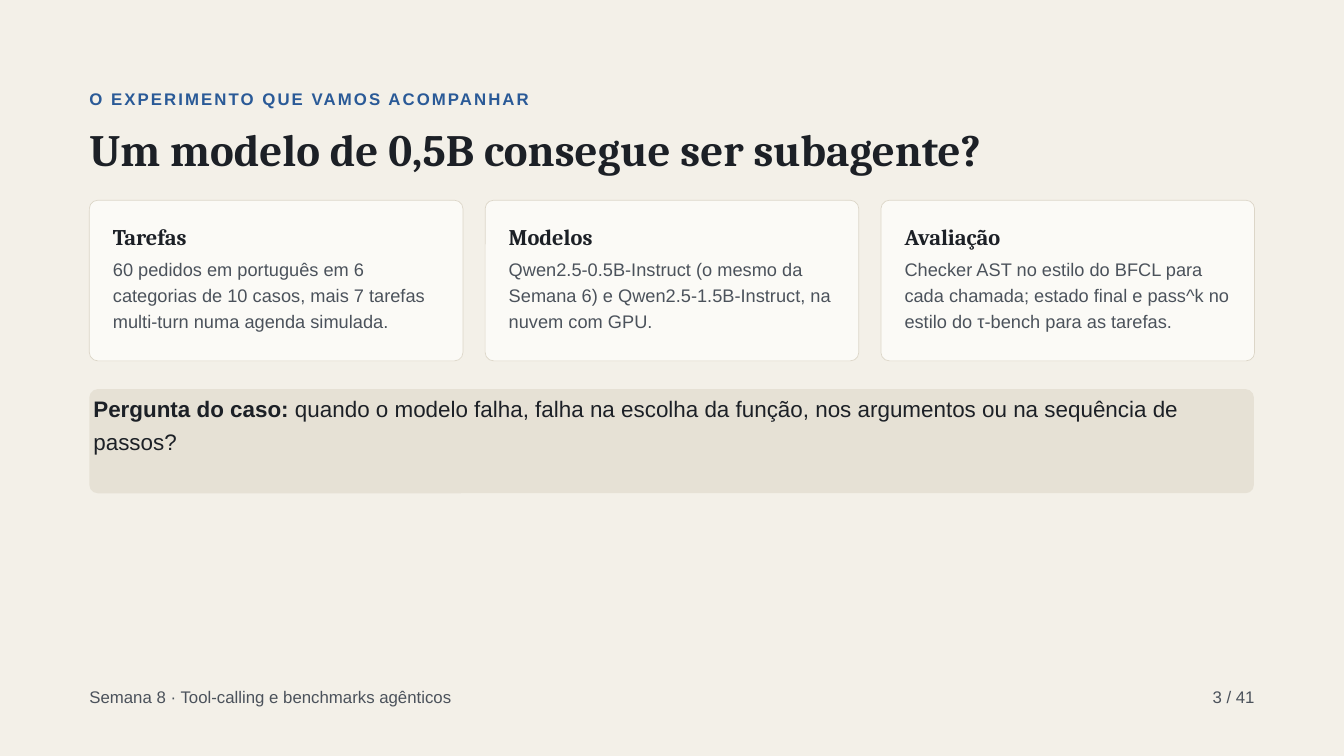
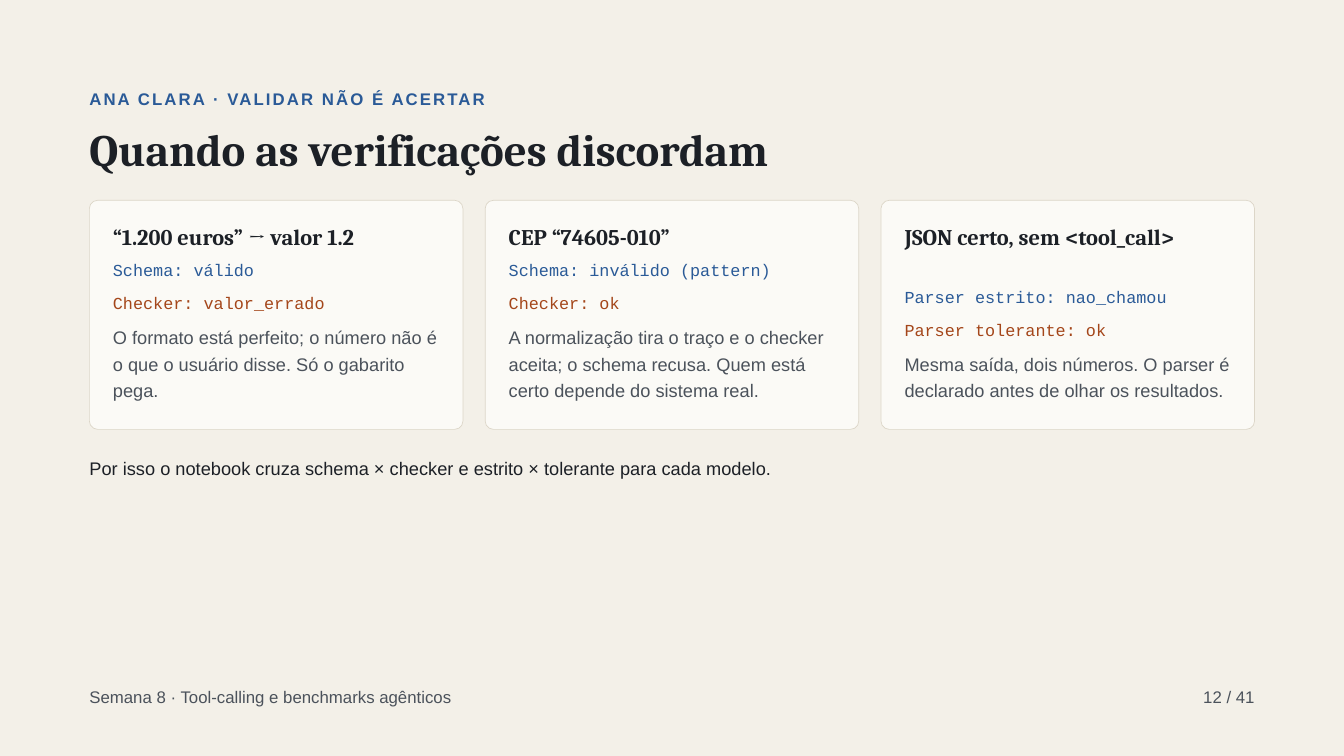
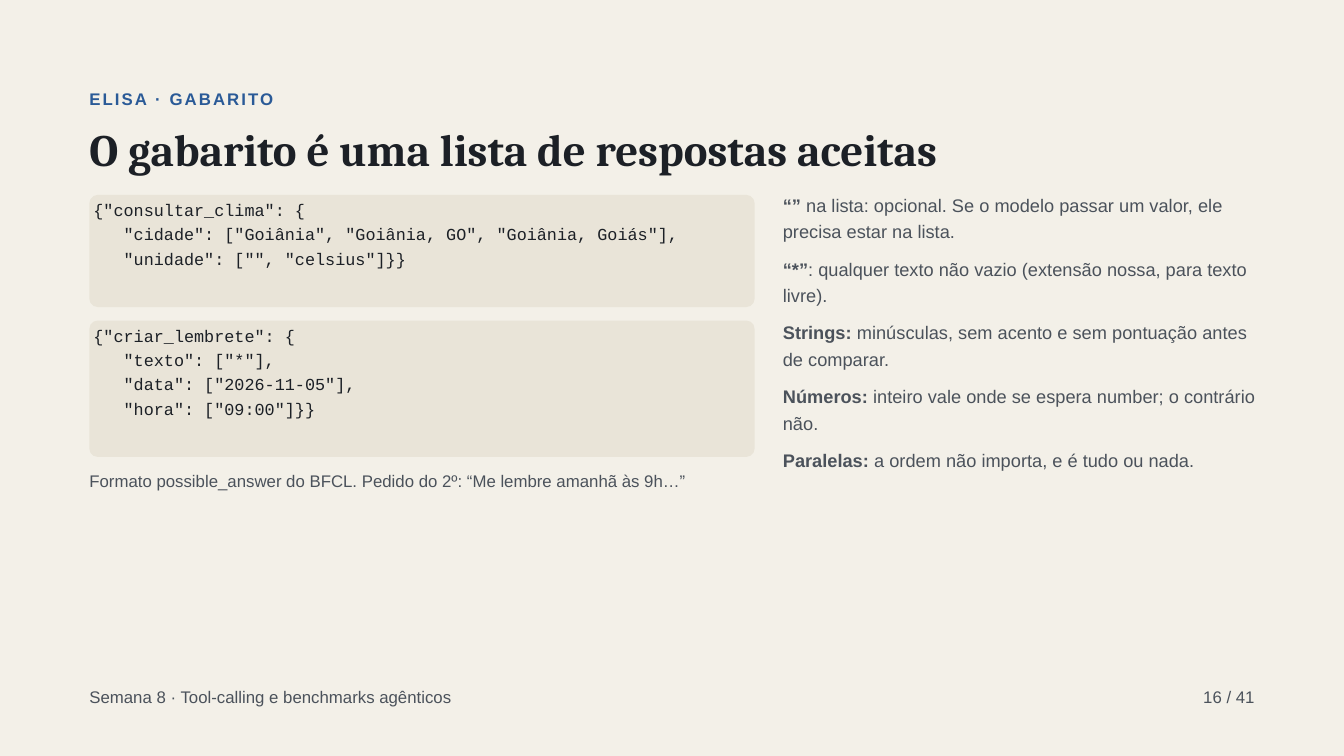
import pptx
import pptx.dml.color
import pptx.enum.shapes
import pptx.enum.text
import pptx.util

Inches = pptx.util.Inches
Pt = pptx.util.Pt
ALIGN = pptx.enum.text.PP_ALIGN

COLORS = {
    "paper": "F3F0E8", "ink": "1C2026", "muted": "4B525B", "blue": "2A5A97",
    "rust": "A4461A", "card": "FBFAF6", "border": "DCD6C8",
    "callout": "E6E1D5", "code": "E9E4D8",
}
STYLES = {
    "kicker": ("Arial", 18, True, "blue", 25.2),
    "title": ("Cambria", 48, True, "ink", 52.8),
    "heading": ("Cambria", 24, True, "ink", 28.8),
    "body": ("Arial", 19.5, False, "muted", 28.3),
    "remark": ("Arial", 19.5, False, "ink", 28.3),
    "question": ("Arial", 24, False, "ink", 34.8),
    "expected": ("Courier New", 18, False, "blue", 25.2),
    "observed": ("Courier New", 18, False, "rust", 25.2),
    "code": ("Courier New", 18, False, "ink", 26.1),
    "caption": ("Arial", 18, False, "muted", 26.1),
    "footer": ("Arial", 18, False, "muted", 25.2),
}
LEFT = 1.33
WIDTH = 17.33
WIDE = 17.85
CARD_TOP = 2.98
CARD_WIDTH = 5.56
CARD_STEP = 5.89
CARD_PAD = 0.35
TEXT_WIDTH = 5.01
RADIUS = 0.125
CODE_WIDTH = 9.9


class Deck:
    """Hold the shared style and draw each element on the current slide."""

    def __init__(self):
        self.prs = pptx.Presentation()
        self.prs.slide_width, self.prs.slide_height = Inches(20), Inches(11.25)
        self.fill(self.prs.slide_master.background.fill, "paper")

    def rgb(self, color):
        return pptx.dml.color.RGBColor.from_string(COLORS[color])

    def fill(self, target, color):
        target.solid()
        target.fore_color.rgb = self.rgb(color)

    def place(self, shape, left, top, width, height):
        for side, value in zip(("left", "top", "width", "height"), (left, top, width, height)):
            setattr(shape, side, Inches(value))

    def set_text(self, frame, lines, style, lead="", align=ALIGN.LEFT, inset=0, spacing=0):
        name, size, bold, color, leading = STYLES[style]
        settings = {
            "word_wrap": True, "auto_size": pptx.enum.text.MSO_AUTO_SIZE.NONE,
            "vertical_anchor": pptx.enum.text.MSO_ANCHOR.TOP,
        }
        for side in ("left", "top", "right", "bottom"):
            settings[f"margin_{side}"] = Inches(inset)
        for key, value in settings.items():
            setattr(frame, key, value)
        for number, line in enumerate(lines):
            paragraph = frame.add_paragraph() if number else frame.paragraphs[0]
            paragraph.alignment = align
            paragraph.line_spacing = Pt(leading)
            for words, heavy in ((lead, True), (line, bold)):
                if not words:
                    continue
                run = paragraph.add_run()
                run.text = words
                for key, value in {"name": name, "size": Pt(size), "bold": heavy}.items():
                    setattr(run.font, key, value)
                run.font.color.rgb = self.rgb(color)
                if spacing:
                    run._r.get_or_add_rPr().set("spc", str(spacing))

    def text(self, left, top, width, height, lines, style, **options):
        box = self.slide.shapes.add_textbox(*map(Inches, (left, top, width, height)))
        self.set_text(box.text_frame, lines, style, **options)

    def start(self, number, kicker, title):
        self.slide = self.prs.slides.add_slide(self.prs.slide_layouts[5])
        heading = self.slide.shapes.title
        self.place(heading, LEFT, 1.88, WIDE, 0.72)
        self.set_text(heading.text_frame, [title], "title")
        self.text(LEFT, 1.27, WIDE, 0.45, [kicker], "kicker", spacing=220)
        self.text(LEFT, 10.17, 11.8, 0.45,
                  ["Semana 8 · Tool-calling e benchmarks agênticos"], "footer")
        self.text(16.5, 10.17, 2.17, 0.45, [f"{number} / 41"], "footer", align=ALIGN.RIGHT)

    def rounded(self, left, top, width, height, color, border=None):
        shape = self.slide.shapes.add_shape(
            pptx.enum.shapes.MSO_SHAPE.ROUNDED_RECTANGLE,
            *map(Inches, (left, top, width, height)))
        shape.adjustments[0] = RADIUS / min(width, height)
        shape.shadow.inherit = False
        self.fill(shape.fill, color)
        if border:
            shape.line.color.rgb = self.rgb(border)
            shape.line.width = Pt(0.75)
        else:
            shape.line.fill.background()

    def panel(self, top, width, height, color, lines, style, lead=""):
        self.rounded(LEFT, top, width, height, color)
        self.text(LEFT, top - 0.05, width, height + 0.05, lines, style, lead=lead, inset=0.06)

    def card(self, column, height, heading, body, verdicts=(), shift=0):
        left = LEFT + column * CARD_STEP
        self.rounded(left, CARD_TOP, CARD_WIDTH, height, "card", "border")
        inner = left + CARD_PAD
        self.text(inner, 3.32, TEXT_WIDTH, 0.44 + shift, [heading], "heading")
        for row, (verdict, style) in enumerate(zip(verdicts, ("expected", "observed"))):
            self.text(inner, 3.82 + shift + row * 0.49, TEXT_WIDTH, 0.44, [verdict], style)
        body_top = 3.77 + shift + len(verdicts) * 0.51
        self.text(inner, body_top, TEXT_WIDTH, 1.29 - shift, [body], "body")


def experiment(deck):
    deck.start(3, "O EXPERIMENTO QUE VAMOS ACOMPANHAR", "Um modelo de 0,5B consegue ser subagente?")
    topics = [
        ("Tarefas", "60 pedidos em português em 6 categorias de 10 casos, "
         "mais 7 tarefas multi-turn numa agenda simulada."),
        ("Modelos", "Qwen2.5-0.5B-Instruct (o mesmo da Semana 6) e "
         "Qwen2.5-1.5B-Instruct, na nuvem com GPU."),
        ("Avaliação", "Checker AST no estilo do BFCL para cada chamada; estado final "
         "e pass^k no estilo do τ-bench para as tarefas."),
    ]
    for column, (heading, body) in enumerate(topics):
        deck.card(column, 2.39, heading, body)
    deck.panel(5.79, WIDTH, 1.55, "callout",
               [" quando o modelo falha, falha na escolha da função, "
                "nos argumentos ou na sequência de passos?"],
               "question", lead="Pergunta do caso:")


def disagreements(deck):
    deck.start(12, "ANA CLARA · VALIDAR NÃO É ACERTAR", "Quando as verificações discordam")
    cases = [
        ("“1.200 euros” → valor 1.2",
         "O formato está perfeito; o número não é o que o usuário disse. Só o gabarito pega.",
         ("Schema: válido", "Checker: valor_errado"), 0),
        ("CEP “74605-010”",
         "A normalização tira o traço e o checker aceita; o schema recusa. "
         "Quem está certo depende do sistema real.",
         ("Schema: inválido (pattern)", "Checker: ok"), 0),
        ("JSON certo, sem <tool_call>",
         "Mesma saída, dois números. O parser é declarado antes de olhar os resultados.",
         ("Parser estrito: nao_chamou", "Parser tolerante: ok"), 0.4),
    ]
    for column, (heading, body, verdicts, shift) in enumerate(cases):
        deck.card(column, 3.41, heading, body, verdicts, shift)
    deck.text(LEFT, 6.73, WIDE, 0.51,
              ["Por isso o notebook cruza schema × checker e estrito × tolerante para cada modelo."],
              "remark")


def answer_key(deck):
    deck.start(16, "ELISA · GABARITO", "O gabarito é uma lista de respostas aceitas")
    weather = [
        '{"consultar_clima": {',
        '   "cidade": ["Goiânia", "Goiânia, GO", "Goiânia, Goiás"],',
        '   "unidade": ["", "celsius"]}}',
    ]
    reminder = [
        '{"criar_lembrete": {',
        '   "texto": ["*"],',
        '   "data": ["2026-11-05"],',
        '   "hora": ["09:00"]}}',
    ]
    for top, height, code in ((2.9, 1.67, weather), (4.77, 2.03, reminder)):
        deck.panel(top, CODE_WIDTH, height, "code", code, "code")
    deck.text(LEFT, 6.94, 10.19, 0.48,
              ["Formato possible_answer do BFCL. Pedido do 2º: “Me lembre amanhã às 9h…”"],
              "caption")
    rules = [
        ("“”", " na lista: opcional. Se o modelo passar um valor, ele precisa estar na lista."),
        ("“*”", ": qualquer texto não vazio (extensão nossa, para texto livre)."),
        ("Strings:", " minúsculas, sem acento e sem pontuação antes de comparar."),
        ("Números:", " inteiro vale onde se espera number; o contrário não."),
        ("Paralelas:", " a ordem não importa, e é tudo ou nada."),
    ]
    for row, (lead, rule) in enumerate(rules):
        deck.text(11.65, 2.82 + row * 0.95, 7.23, 0.9, [rule], "body", lead=lead)


def main():
    deck = Deck()
    for build in (experiment, disagreements, answer_key):
        build(deck)
    deck.prs.save("out.pptx")


if __name__ == "__main__":
    main()
